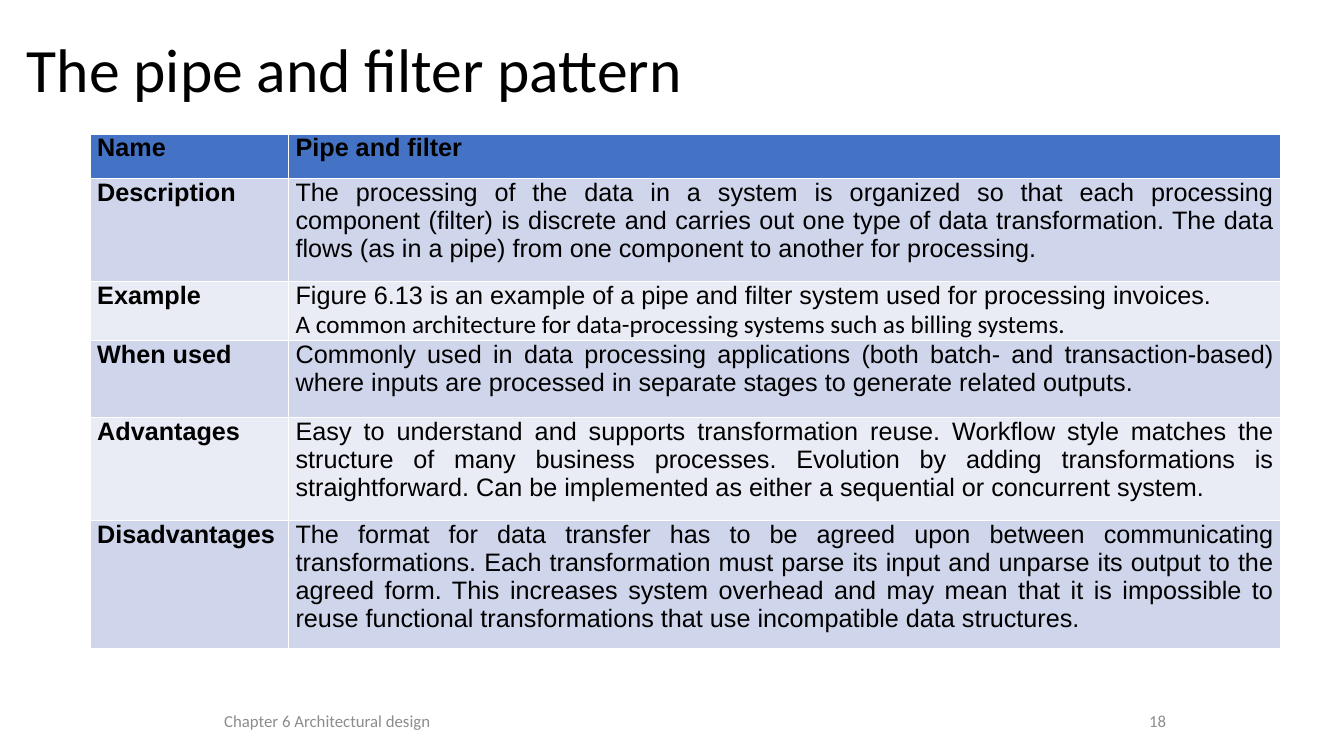
from lxml import etree
from pptx import Presentation
from pptx.dml.color import RGBColor
from pptx.enum.text import MSO_ANCHOR, MSO_AUTO_SIZE, PP_ALIGN
from pptx.oxml.ns import qn
from pptx.util import Cm, Pt

LEFT, CENTER, RIGHT, JUSTIFY = PP_ALIGN.LEFT, PP_ALIGN.CENTER, PP_ALIGN.RIGHT, PP_ALIGN.JUSTIFY
TOP, MIDDLE = MSO_ANCHOR.TOP, MSO_ANCHOR.MIDDLE
NO_AUTOFIT = MSO_AUTO_SIZE.NONE

BLACK = RGBColor(0x00, 0x00, 0x00)
WHITE = RGBColor(0xFF, 0xFF, 0xFF)
GREY = RGBColor(0x8C, 0x8C, 0x8C)
HEADER_BLUE = RGBColor(0x44, 0x72, 0xC4)
BANDS = (RGBColor(0xE9, 0xEB, 0xF5), RGBColor(0xCF, 0xD5, 0xEA))

ARIAL, CALIBRI = "Arial", "Calibri"

COLUMN_WIDTHS = (5.0, 25.01)
PATTERN_ROWS = [
    (1.12, "Name", [("Pipe and filter", ARIAL)]),
    (2.59, "Description", [(
        "The processing of the data in a system is organized so that each processing "
        "component (filter) is discrete and carries out one type of data transformation. "
        "The data flows (as in a pipe) from one component to another for processing.", ARIAL)]),
    (1.3, "Example", [
        ("Figure 6.13 is an example of a pipe and filter system used for processing "
         "invoices.", ARIAL),
        ("A common architecture for data-processing systems such as billing systems.",
         CALIBRI)]),
    (1.94, "When used", [(
        "Commonly used in data processing applications (both batch- and transaction-based) "
        "where inputs are processed in separate stages to generate related outputs.", ARIAL)]),
    (2.59, "Advantages", [(
        "Easy to understand and supports transformation reuse. Workflow style matches the "
        "structure of many business processes. Evolution by adding transformations is "
        "straightforward. Can be implemented as either a sequential or concurrent system.",
        ARIAL)]),
    (3.23, "Disadvantages", [(
        "The format for data transfer has to be agreed upon between communicating "
        "transformations. Each transformation must parse its input and unparse its output to "
        "the agreed form. This increases system overhead and may mean that it is impossible to "
        "reuse functional transformations that use incompatible data structures.", ARIAL)]),
]


class SlideBuilder:
    def __init__(self, page):
        self.page = page

    def add_text(self, para, text, font, size, color=BLACK, bold=False, align=LEFT):
        para.alignment = align
        span = para.add_run()
        span.text = text
        span.font.name = font
        span.font.size = Pt(size)
        span.font.bold = bold
        span.font.color.rgb = color

    def title(self, text, left, top, width, height):
        box = self.page.shapes.title
        box.left, box.top, box.width, box.height = Cm(left), Cm(top), Cm(width), Cm(height)
        frame = box.text_frame
        frame.auto_size = NO_AUTOFIT
        frame.vertical_anchor = MIDDLE
        para = frame.paragraphs[0]
        para.line_spacing = 0.9
        self.add_text(para, text, CALIBRI, 44)

    def footer(self, text, left, width, align):
        box = self.page.shapes.add_textbox(Cm(left), Cm(17.66), Cm(width), Cm(1.01))
        frame = box.text_frame
        frame.word_wrap = True
        frame.vertical_anchor = MIDDLE
        self.add_text(frame.paragraphs[0], text, CALIBRI, 12, GREY, align=align)

    def borders(self, cell):
        properties = cell._tc.get_or_add_tcPr()
        for position, side in enumerate(("a:lnL", "a:lnR", "a:lnT", "a:lnB")):
            line = etree.Element(qn(side), w=str(Pt(1)))
            fill = etree.SubElement(line, qn("a:solidFill"))
            etree.SubElement(fill, qn("a:srgbClr"), val=str(WHITE))
            properties.insert(position, line)

    def cell(self, cell, entries, fill, bold):
        cell.margin_left = cell.margin_right = Cm(0.18)
        cell.margin_top = cell.margin_bottom = 0
        cell.vertical_anchor = TOP
        cell.fill.solid()
        cell.fill.fore_color.rgb = fill
        self.borders(cell)
        frame = cell.text_frame
        for index, (text, font) in enumerate(entries):
            para = frame.add_paragraph() if index else frame.paragraphs[0]
            self.add_text(para, text, font, 18, bold=bold, align=JUSTIFY)

    def table(self, rows, widths, left, top):
        height = sum(row[0] for row in rows)
        table = self.page.shapes.add_table(
            len(rows), len(widths), Cm(left), Cm(top), Cm(sum(widths)), Cm(height)).table
        table.horz_banding = False
        for column, width in zip(table.columns, widths):
            column.width = Cm(width)
        for index, (row_height, label, entries) in enumerate(rows):
            table.rows[index].height = Cm(row_height)
            fill = BANDS[index % 2] if index else HEADER_BLUE
            self.cell(table.cell(index, 0), [(label, ARIAL)], fill, True)
            self.cell(table.cell(index, 1), entries, fill, index == 0)


def main():
    deck = Presentation()
    deck.slide_width, deck.slide_height = Cm(33.87), Cm(19.05)
    page = deck.slides.add_slide(deck.slide_layouts[5])
    builder = SlideBuilder(page)
    builder.title("The pipe and filter pattern", 0.42, 0, 29.21, 3.68)
    builder.table(PATTERN_ROWS, COLUMN_WIDTHS, 2.27, 3.38)
    builder.footer("Chapter 6 Architectural design", 4.23, 8.04, CENTER)
    builder.footer("18", 23.71, 5.93, RIGHT)
    deck.save("out.pptx")


if __name__ == "__main__":
    main()
